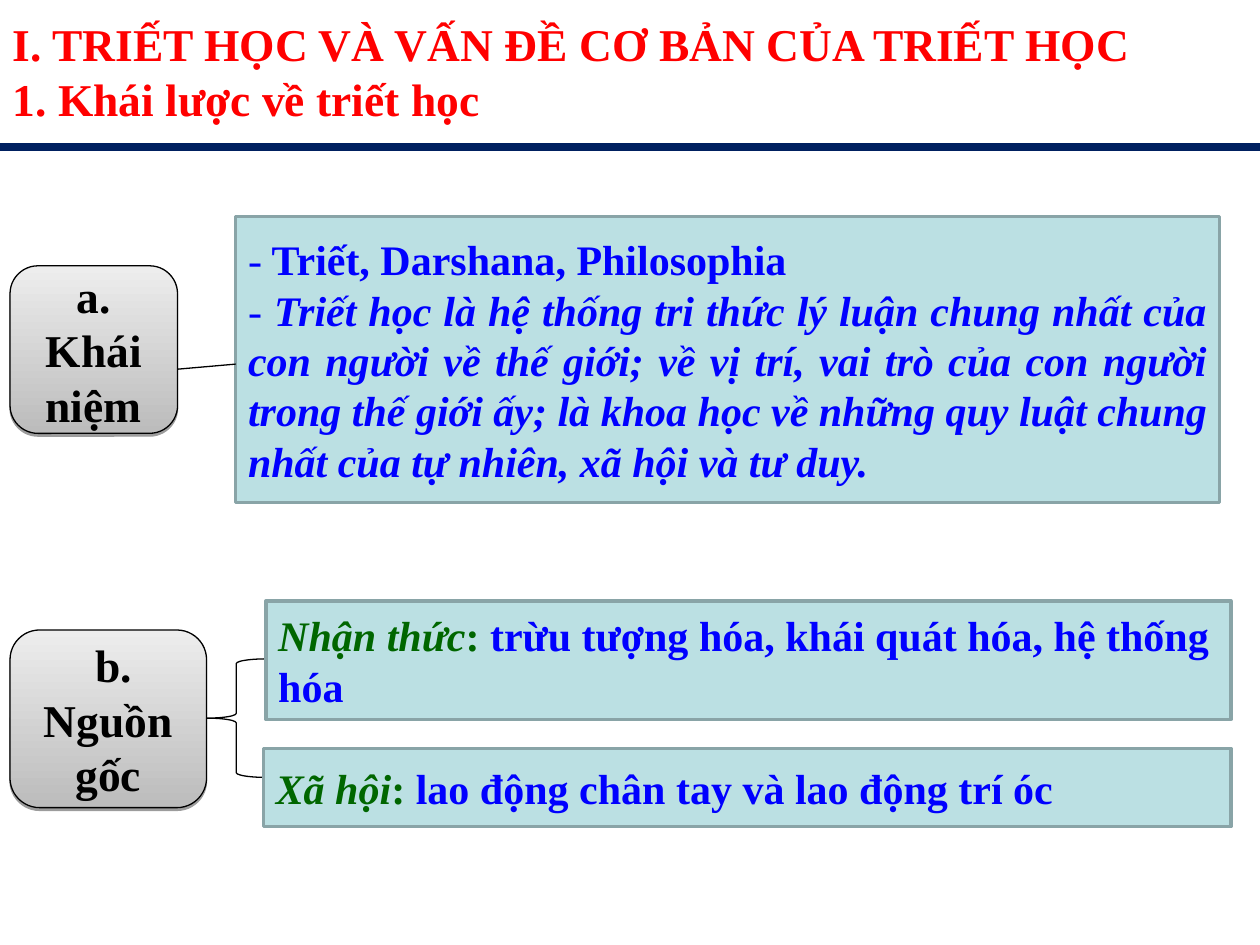
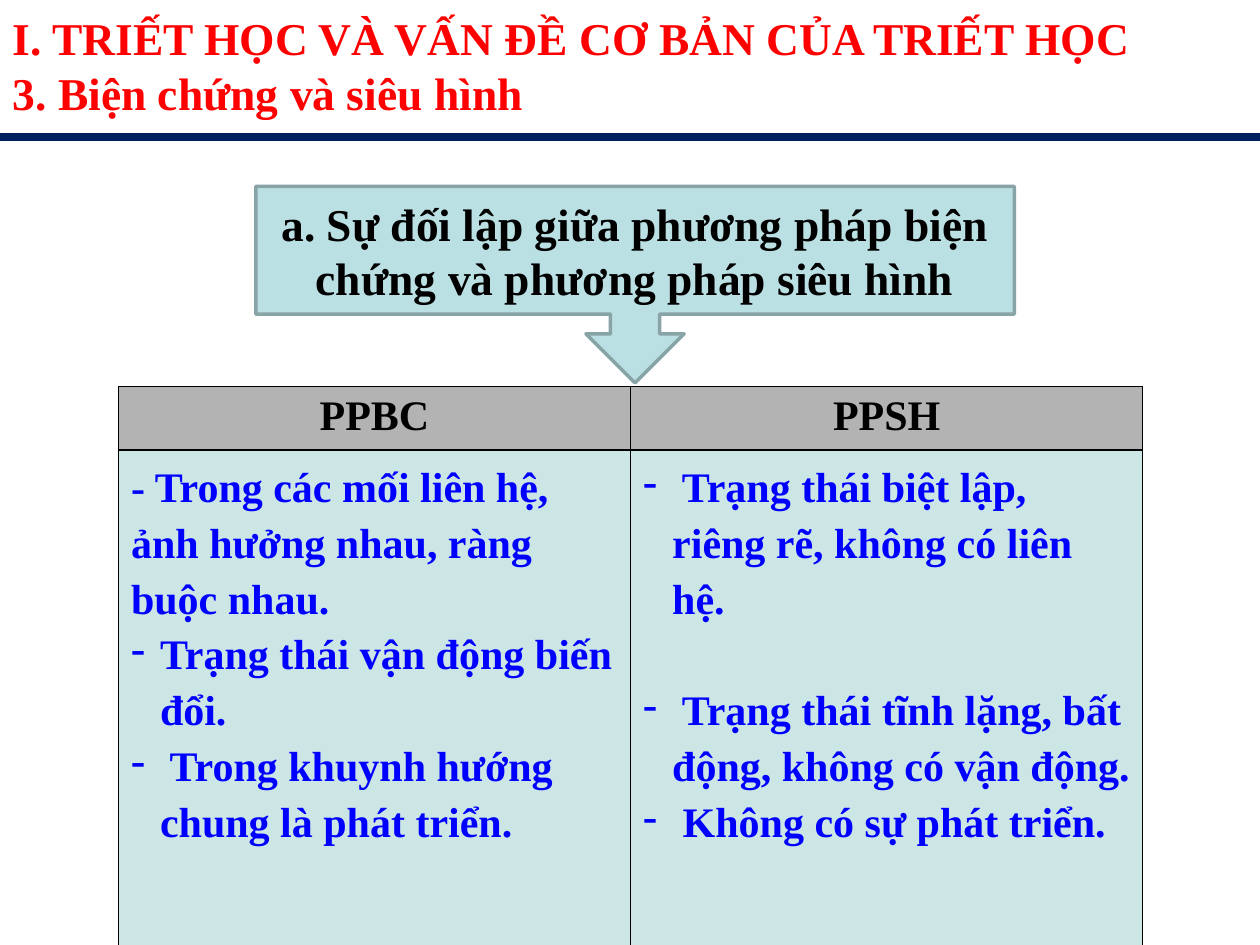
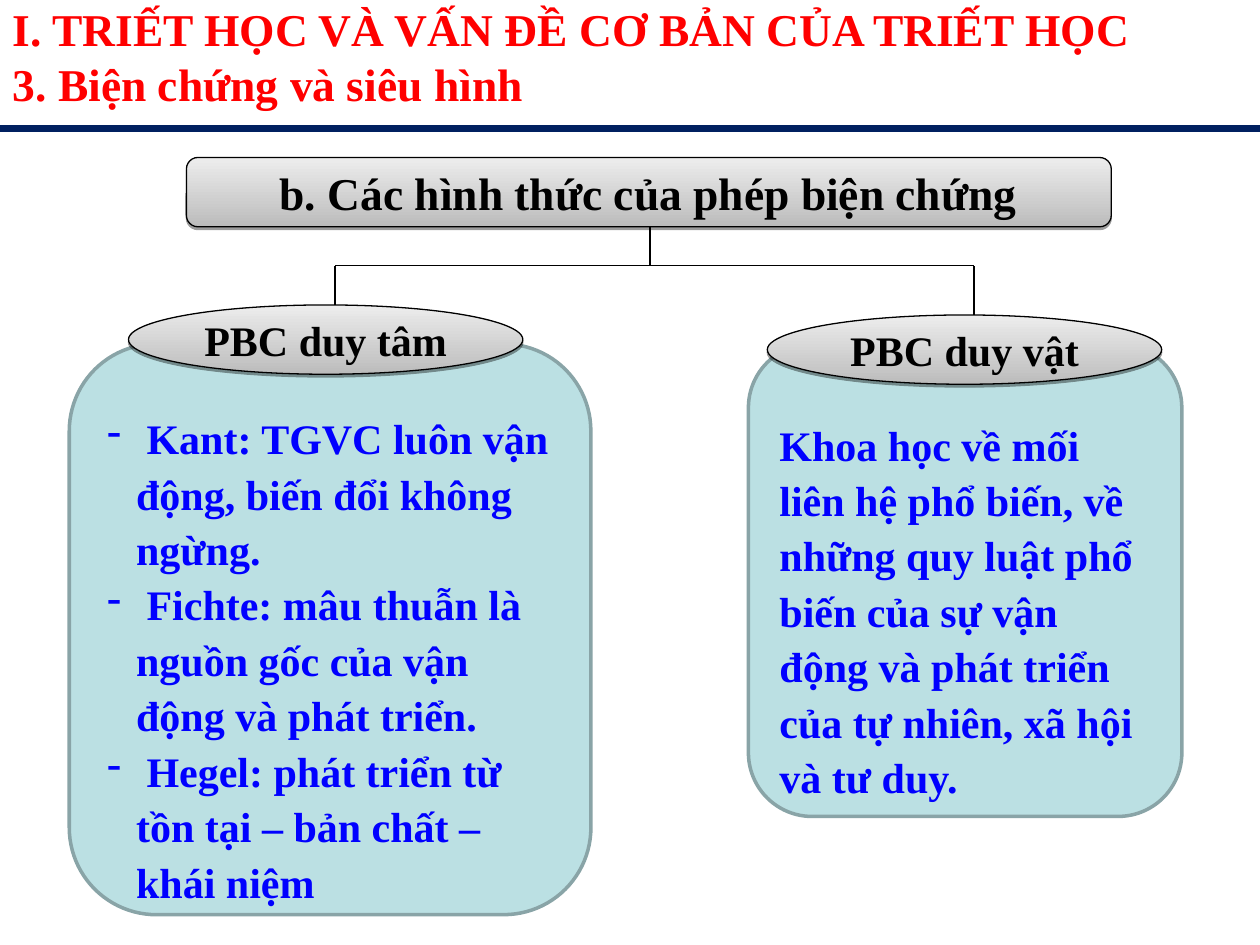
from lxml import etree
from pptx import Presentation
from pptx import util as u
from pptx.dml.color import RGBColor
from pptx.enum import shapes, text
from pptx.oxml import ns

FONT = "Times New Roman"
RED, NAVY, BLUE, GREEN, BLACK = "FF0000", "002060", "0000FF", "006600", "000000"
PANEL, PANEL_LINE, HEAD_FILL, CELL_FILL = "BBE0E3", "89A4A7", "B3B3B3", "008080"
SILVER = ("BCBCBC", "EDEDED")
SHAPE, AL = shapes.MSO_SHAPE, text.PP_ALIGN
HANG = u.Inches(0.23)


def rgb(value):
    return RGBColor.from_string(value)


def sub(parent, tag, **attrs):
    return etree.SubElement(parent, ns.qn(tag), {k: str(v) for k, v in attrs.items()})


def inches(*values):
    return [u.Inches(v) for v in values]


# Text: each paragraph is a string or a list of (string, run format) pairs
def write(tf, paras, size=24, color=BLUE, bold=True, align=None, spacing=None,
          bullets=(), before=None):
    tf.word_wrap = True
    for i, runs in enumerate(paras):
        p = tf.paragraphs[0] if i == 0 else tf.add_paragraph()
        if i in bullets:
            ppr = p._p.get_or_add_pPr()
            ppr.set("marL", str(HANG))
            ppr.set("indent", str(-HANG))
            sub(sub(ppr, "a:buClr"), "a:srgbClr", val=color)
            sub(ppr, "a:buChar", char="-")
        if align is not None:
            p.alignment = align
        if spacing:
            p.line_spacing = spacing
        if before and i in before:
            p.space_before = u.Pt(before[i])
        for words, style in [(runs, {})] if isinstance(runs, str) else runs:
            r = p.add_run()
            r.text = words
            r.font.name, r.font.size = FONT, u.Pt(size)
            r.font.bold = style.get("bold", bold)
            r.font.italic = style.get("italic", False)
            r.font.color.rgb = rgb(style.get("color", color))


# Shapes and lines
def add_box(s, kind, box, adj=()):
    sp = s.shapes.add_shape(kind, *inches(*box))
    sp.shadow.inherit = False
    for i, value in enumerate(adj):
        sp.adjustments[i] = value
    sp.text_frame.vertical_anchor = text.MSO_ANCHOR.MIDDLE
    return sp


def outline(sp, color, width):
    sp.line.color.rgb = rgb(color)
    sp.line.width = u.Pt(width)


def panel(s, box, paras, kind=SHAPE.RECTANGLE, adj=(), top=0.05, **fmt):
    sp = add_box(s, kind, box, adj)
    sp.fill.solid()
    sp.fill.fore_color.rgb = rgb(PANEL)
    outline(sp, PANEL_LINE, 2)
    sp.text_frame.margin_top = u.Inches(top)
    write(sp.text_frame, paras, **fmt)


def silver_label(s, box, words, kind=SHAPE.ROUNDED_RECTANGLE, size=26):
    sp = add_box(s, kind, box)
    sp.fill.gradient()
    sp.fill.gradient_angle = 90
    for stop, color in zip(sp.fill.gradient_stops, SILVER):
        stop.color.rgb = rgb(color)
    outline(sp, BLACK, 0.75)
    effects = sp._element.spPr.find(ns.qn("a:effectLst"))
    shadow = sub(effects, "a:outerShdw", blurRad=0, dist=u.Pt(1.6), dir=5400000,
                 rotWithShape=0)
    sub(sub(shadow, "a:srgbClr", val=BLACK), "a:alpha", val=38000)
    write(sp.text_frame, [words], size=size, color=BLACK, align=AL.CENTER)


def line(s, x1, y1, x2, y2, color=BLACK, width=0.75):
    c = s.shapes.add_connector(shapes.MSO_CONNECTOR.STRAIGHT, *inches(x1, y1, x2, y2))
    outline(c, color, width)
    sub(c._element.spPr, "a:effectLst")


# Shared heading: two title lines over a navy rule
def new_slide(prs, topic, top, rule):
    s = prs.slides.add_slide(prs.slide_layouts[5])
    sp = s.shapes.title
    sp.left, sp.top, sp.width, sp.height = inches(0, top, 10, 0.97)
    tf = sp.text_frame
    tf.auto_size = text.MSO_AUTO_SIZE.NONE
    tf.vertical_anchor = text.MSO_ANCHOR.TOP
    write(tf, ["I. TRIẾT HỌC VÀ VẤN ĐỀ CƠ BẢN CỦA TRIẾT HỌC", topic],
          size=26, color=RED, align=AL.LEFT)
    line(s, 0, rule, 10, rule, NAVY, 4.5)
    return s


# Slide 1 regions
def concept(s, x, y):
    panel(s, (x + 1.79, y, 7.81, 2.27), [
        [("-", {"bold": False}), (" Triết, Darshana, Philosophia", {})],
        [("- ", {"bold": False}),
         ("Triết học là hệ thống tri thức lý luận chung nhất của con người về thế giới; "
          "về vị trí, vai trò của con người trong thế giới ấy; là khoa học về những quy "
          "luật chung nhất của tự nhiên, xã hội và tư duy.", {"italic": True})],
    ], align=AL.JUSTIFY)
    silver_label(s, (x, y + 0.39, 1.33, 1.33), "a. Khái niệm")
    line(s, x + 1.33, y + 1.21, x + 1.79, y + 1.17)


def origins(s, x, y):
    silver_label(s, (x, y + 0.23, 1.56, 1.41), " b. Nguồn gốc")
    brace = add_box(s, SHAPE.LEFT_BRACE, (x + 1.56, y + 0.46, 0.47, 0.94), (0.08, 0.5))
    brace.fill.background()
    outline(brace, BLACK, 0.75)
    sources = [
        ((x + 2.03, y, 7.66, 0.94), "Nhận thức",
         "trừu tượng hóa, khái quát hóa, hệ thống hóa"),
        ((x + 2.01, y + 1.17, 7.68, 0.62), "Xã hội",
         "lao động chân tay và lao động trí óc"),
    ]
    for box, name, detail in sources:
        panel(s, box, [[(name, {"color": GREEN, "italic": True}),
                        (": ", {"color": GREEN}), (detail, {})]], align=AL.LEFT)


# Slide 2 region
def style_cell(cell, fill, alpha, edges):
    cell.fill.solid()
    cell.fill.fore_color.rgb = rgb(fill)
    tcpr = cell._tc.get_or_add_tcPr()
    if alpha:
        sub(tcpr.find(".//" + ns.qn("a:srgbClr")), "a:alpha", val=alpha * 1000)
    for i, (side, width) in enumerate(zip("LRTB", edges)):
        ln = sub(tcpr, "a:ln" + side, w=u.Pt(width))
        sub(sub(ln, "a:solidFill"), "a:srgbClr", val=BLACK)
        tcpr.insert(i, ln)


def method_table(s, x, y, w, heights):
    frame = s.shapes.add_table(2, 2, *inches(x, y, w, sum(heights)))
    table = frame.table
    for row, h in zip(table.rows, heights):
        row.height = u.Inches(h)
    columns = [
        ("PPBC", ["- Trong các mối liên hệ, ảnh hưởng nhau, ràng buộc nhau.",
                  "Trạng thái vận động biến đổi.",
                  " Trong khuynh hướng chung là phát triển."], (1, 2), None),
        ("PPSH", [" Trạng thái biệt lập, riêng rẽ, không có liên hệ.",
                  " Trạng thái tĩnh lặng, bất động, không có vận động.",
                  " Không có sự phát triển."], (0, 1, 2), {1: 32}),
    ]
    for i, (head, points, bullets, before) in enumerate(columns):
        top, body = table.cell(0, i), table.cell(1, i)
        style_cell(top, HEAD_FILL, None, (0.45, 0.45, 0.45, 0.96))
        style_cell(body, CELL_FILL, 20, (0.45, 0.45, 0.96, 0.45))
        write(top.text_frame, [head], color=BLACK, align=AL.CENTER)
        write(body.text_frame, points, spacing=1.2, bullets=bullets, before=before)


# Slide 3 regions
def form_card(s, box, label_box, label, paras, adj, bullets=()):
    panel(s, box, paras, SHAPE.ROUNDED_RECTANGLE, (adj,), top=0.49,
          align=AL.LEFT, spacing=1.1, bullets=bullets)
    silver_label(s, label_box, label, SHAPE.OVAL, 24)


def tree_lines(s, root, bar_y, branches):
    x, y = root
    line(s, x, y, x, bar_y)
    line(s, branches[0][0], bar_y, branches[-1][0], bar_y)
    for bx, by in branches:
        line(s, bx, bar_y, bx, by)


def main():
    prs = Presentation()
    prs.slide_width, prs.slide_height = inches(10, 7.5)

    s = new_slide(prs, "1. Khái lược về triết học", 0.08, 1.17)
    concept(s, 0.08, 1.72)
    origins(s, 0.08, 4.77)

    s = new_slide(prs, "3. Biện chứng và siêu hình", 0.03, 1.09)
    panel(s, (2.03, 1.48, 6.02, 1.56),
          ["a. Sự đối lập giữa phương pháp biện chứng và phương pháp siêu hình"],
          SHAPE.DOWN_ARROW_CALLOUT, (0.25, 0.25, 0.25, 0.65),
          size=26, color=BLACK, align=AL.CENTER)
    method_table(s, 0.94, 3.07, 8.13, (0.5, 3.93))

    s = new_slide(prs, "3. Biện chứng và siêu hình", -0.04, 1.02)
    silver_label(s, (1.48, 1.25, 7.34, 0.55), "b. Các hình thức của phép biện chứng")
    form_card(s, (0.55, 2.73, 4.14, 4.53), (1.02, 2.42, 3.13, 0.55), "PBC duy tâm", [
        " Kant: TGVC luôn vận động, biến đổi không ngừng.",
        " Fichte: mâu thuẫn là nguồn gốc của vận động và phát triển.",
        " Hegel: phát triển từ tồn tại – bản chất – khái niệm",
    ], 0.167, bullets=(0, 1, 2))
    form_card(s, (5.94, 2.73, 3.44, 3.75), (6.09, 2.5, 3.13, 0.55), "PBC duy vật", [
        "Khoa học về mối liên hệ phổ biến, về những quy luật phổ biến của sự vận động "
        "và phát triển của tự nhiên, xã hội và tư duy.",
    ], 0.147)
    tree_lines(s, (5.16, 1.8), 2.11, [(2.66, 2.42), (7.73, 2.5)])

    prs.save("out.pptx")


if __name__ == "__main__":
    main()
